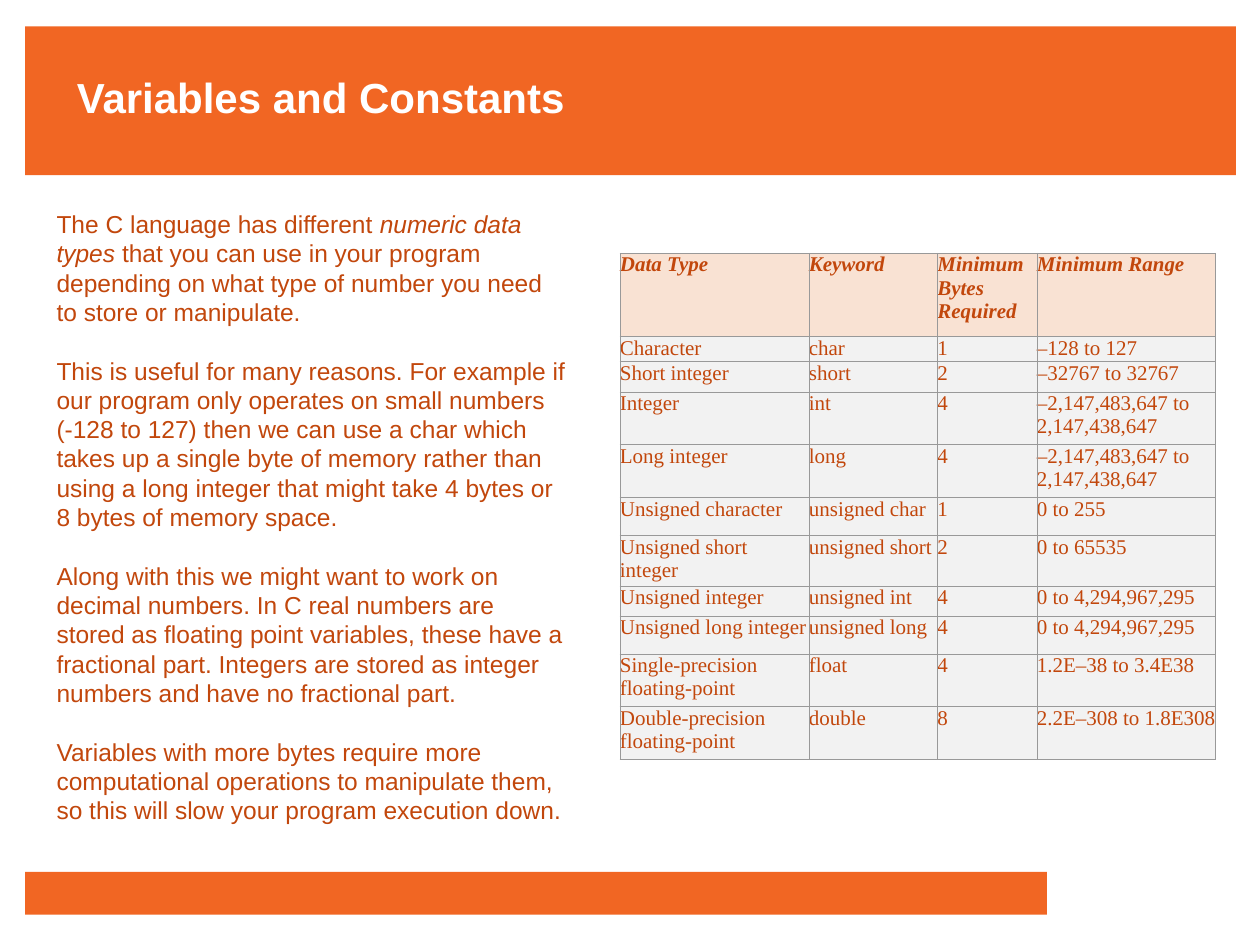
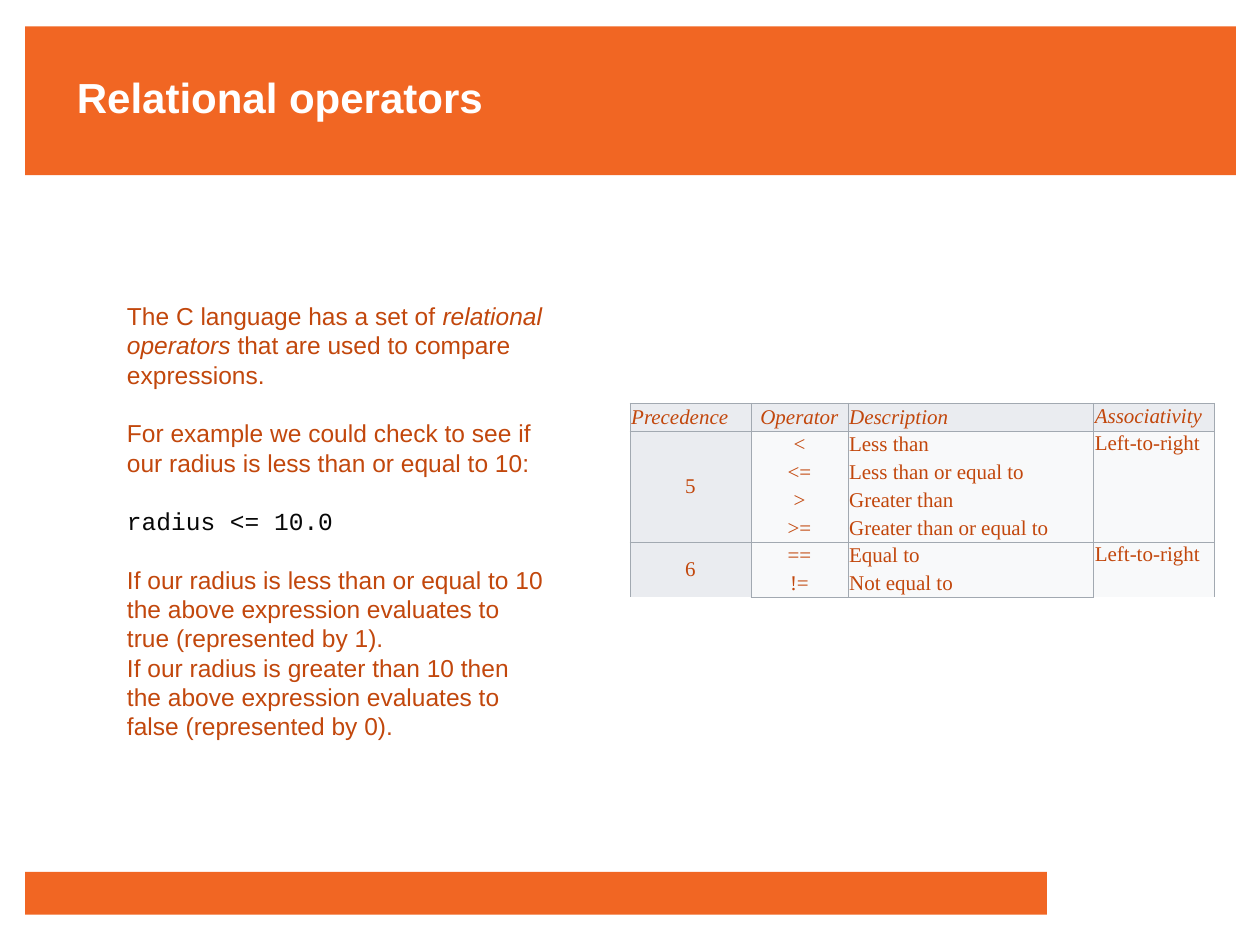
from dataclasses import dataclass

from lxml import etree
from pptx import Presentation
from pptx.dml.color import RGBColor
from pptx.enum.shapes import MSO_SHAPE
from pptx.enum.text import MSO_ANCHOR, PP_ALIGN
from pptx.oxml.ns import qn
from pptx.util import Inches, Pt

RECT = MSO_SHAPE.RECTANGLE
LEFT, CENTER = PP_ALIGN.LEFT, PP_ALIGN.CENTER
TOP, MIDDLE = MSO_ANCHOR.TOP, MSO_ANCHOR.MIDDLE


@dataclass(frozen=True)
class Theme:
    band: str = "F16623"
    title: str = "FFFFFF"
    ink: str = "C2470C"
    code: str = "080808"
    sans: str = "Arial"
    serif: str = "Times New Roman"
    mono: str = "Courier New"
    head_size: float = 24
    body_size: float = 14
    cell_size: float = 12
    pitch: float = 16.75


T = Theme()
ITALIC = {"italic": True}
CODE = {"font": T.mono, "color": T.code}

# Shared bands: left, top, width, height
BANDS = [(0.2, 0.21, 9.61, 1.18), (0.2, 6.92, 8.11, 0.34)]

# Body text: blocks of paragraphs; a paragraph is a string or a list of runs
TYPES_TEXT = [
    [["The C language has different ", ("numeric data types ", ITALIC),
      "that you can use in your program depending on what type of number "
      "you need to store or manipulate."]],
    ["This is useful for many reasons. For example if our program only operates "
     "on small numbers (-128 to 127) then we can use a char which takes up a "
     "single byte of memory rather than using a long integer that might take "
     "4 bytes or 8 bytes of memory space."],
    ["Along with this we might want to work on decimal numbers. In C real numbers "
     "are stored as floating point variables, these have a fractional part. "
     "Integers are stored as integer numbers and have no fractional part."],
    ["Variables with more bytes require more computational operations to "
     "manipulate them, so this will slow your program execution down."],
]
RELATION_TEXT = [
    [["The C language has a set of ", ("relational operators", ITALIC),
      " that are used to compare expressions."]],
    ["For example we could check to see if our radius is less than or equal to 10:"],
    [[("radius <= 10.0", CODE)]],
    ["If our radius is less than or equal to 10 the above expression evaluates "
     "to true (represented by 1).",
     "If our radius is greater than 10 then the above expression evaluates "
     "to false (represented by 0)."],
]

# Table rows: None joins a cell to the one above
TYPES_ROWS = [
    ("Data Type", "Keyword", "Minimum Bytes Required", "Minimum Range"),
    ("Character", "char", "1", "–128 to 127"),
    ("Short integer", "short", "2", "–32767 to 32767"),
    ("Integer", "int", "4", "–2,147,483,647 to 2,147,438,647"),
    ("Long integer", "long", "4", "–2,147,483,647 to 2,147,438,647"),
    ("Unsigned character", "unsigned char", "1", "0 to 255"),
    ("Unsigned short integer", "unsigned short", "2", "0 to 65535"),
    ("Unsigned integer", "unsigned int", "4", "0 to 4,294,967,295"),
    ("Unsigned long integer", "unsigned long", "4", "0 to 4,294,967,295"),
    ("Single-precision floating-point", "float", "4", "1.2E–38 to 3.4E38"),
    ("Double-precision floating-point", "double", "8", "2.2E–308 to 1.8E308"),
]
RELATION_ROWS = [
    ("Precedence", "Operator", "Description", "Associativity"),
    ("5", "<", "Less than", "Left-to-right"),
    (None, "<=", "Less than or equal to", None),
    (None, ">", "Greater than", None),
    (None, ">=", "Greater than or equal to", None),
    ("6", "==", "Equal to", "Left-to-right"),
    (None, "!=", "Not equal to", None),
]

SLIDES = [
    {"title": "Variables and Constants", "tall": 1.31,
     "text": TYPES_TEXT, "box": (0.35, 1.61, 4.25, 5.05),
     "table": {
         "rows": TYPES_ROWS, "at": (4.92, 2.01), "cols": (1.5, 1.02, 0.79, 1.42),
         "highs": (0.66, 0.12, 0.24, 0.42, 0.42, 0.3, 0.3, 0.24, 0.3, 0.42, 0.42),
         "line": "999999", "head": "F9E2D3", "side": "F2F2F2", "fill": "F2F2F2",
         "bold": True, "inset": 0, "anchors": (TOP,) * 4,
         "heads": (LEFT,) * 4, "aligns": (LEFT,) * 4}},
    {"title": "Relational operators", "tall": 0.5,
     "text": RELATION_TEXT, "box": (0.91, 2.34, 3.54, 3.64),
     "table": {
         "rows": RELATION_ROWS, "at": (5, 3.2), "cols": (0.96, 0.77, 1.95, 0.96),
         "highs": (0.21,) * 7,
         "line": "A2A9B1", "head": "EAECF0", "side": "EAECF0", "fill": "F8F9FA",
         "bold": False, "inset": 0.01, "anchors": (MIDDLE, MIDDLE, MIDDLE, TOP),
         "heads": (LEFT, CENTER, LEFT, LEFT),
         "aligns": (CENTER, CENTER, LEFT, LEFT)}},
]


def paint(fill, color):
    fill.solid()
    fill.fore_color.rgb = RGBColor.from_string(color)


def write(frame, blocks, font=T.sans, size=T.body_size, color=T.ink, bold=False,
          italic=False, align=LEFT, pitch=None):
    """Fill a text frame, leaving one line of space between blocks."""
    base = {"font": font, "color": color, "italic": italic}
    frame.word_wrap = True
    first = True
    for block in blocks:
        for n, runs in enumerate(block):
            para = frame.paragraphs[0] if first else frame.add_paragraph()
            para.alignment = align
            if pitch:
                para.line_spacing = Pt(pitch)
                para.space_before = Pt(0 if n or first else pitch)
            first = False
            for item in [runs] if isinstance(runs, str) else runs:
                words, extra = (item, {}) if isinstance(item, str) else item
                look = base | extra
                run = para.add_run()
                run.text = words
                run.font.name, run.font.size = look["font"], Pt(size)
                run.font.bold, run.font.italic = bold, look["italic"]
                run.font.color.rgb = RGBColor.from_string(look["color"])


def edge(cell, color, sides):
    """Draw the listed sides of a cell and clear the others."""
    props = cell._tc.get_or_add_tcPr()
    for side in "LRTB":
        line = etree.SubElement(props, qn(f"a:ln{side}"), w=str(Pt(0.43)))
        if side in sides:
            solid = etree.SubElement(line, qn("a:solidFill"))
            etree.SubElement(solid, qn("a:srgbClr"), val=color)
        else:
            etree.SubElement(line, qn("a:noFill"))


def add_grid(slide, spec):
    rows, cols, highs = spec["rows"], spec["cols"], spec["highs"]
    sizes = (*spec["at"], sum(cols), sum(highs))
    grid = slide.shapes.add_table(len(rows), len(cols), *map(Inches, sizes)).table
    grid.first_row = grid.horz_banding = False
    for part, width in zip(grid.columns, cols):
        part.width = Inches(width)
    for part, high in zip(grid.rows, highs):
        part.height = Inches(high)

    for r, row in enumerate(rows):
        # Rules run only between groups of rows
        last = r + 1 == len(rows) or rows[r + 1][0] is not None
        sides = "LR" + "T" * (row[0] is not None) + "B" * last
        for c, words in enumerate(row):
            cell = grid.cell(r, c)
            edge(cell, spec["line"], sides)
            paint(cell.fill, spec["head" if r == 0 else "fill" if c else "side"])
            cell.margin_left = cell.margin_right = Inches(spec["inset"])
            cell.margin_top = cell.margin_bottom = Inches(spec["inset"])
            cell.vertical_anchor = spec["anchors"][c]
            if words is not None:
                write(cell.text_frame, [[words]], font=T.serif, size=T.cell_size,
                      bold=spec["bold"] and r == 0, italic=r == 0,
                      align=spec["aligns" if r else "heads"][c])

    # Join the cells of each group
    for c in range(len(cols)):
        starts = [r for r, row in enumerate(rows) if row[c] is not None]
        for top, after in zip(starts, starts[1:] + [len(rows)]):
            if after - top > 1:
                grid.cell(top, c).merge(grid.cell(after - 1, c))


def add_bands(slide, layout):
    """Draw the bands and move them to the back of the layout."""
    for n, box in enumerate(BANDS):
        band = slide.shapes.add_shape(RECT, *map(Inches, box))
        band.shadow.inherit = False
        paint(band.fill, T.band)
        band.line.fill.background()
        layout.shapes.element.insert(2 + n, band.element)


def main():
    deck = Presentation()
    deck.slide_width, deck.slide_height = Inches(10), Inches(7.5)
    layout = deck.slide_layouts[5]
    for n, page in enumerate(SLIDES):
        slide = deck.slides.add_slide(layout)
        if n == 0:
            add_bands(slide, layout)

        # Title
        title = slide.shapes.title
        title.left, title.top = Inches(0.51), Inches(0.52)
        title.width, title.height = Inches(7.72), Inches(page["tall"])
        title.text_frame.vertical_anchor = TOP
        write(title.text_frame, [[page["title"]]], size=T.head_size,
              color=T.title, bold=True)

        # Body and table
        body = slide.shapes.add_textbox(*map(Inches, page["box"]))
        write(body.text_frame, page["text"], pitch=T.pitch)
        add_grid(slide, page["table"])
    deck.save("out.pptx")


if __name__ == "__main__":
    main()
